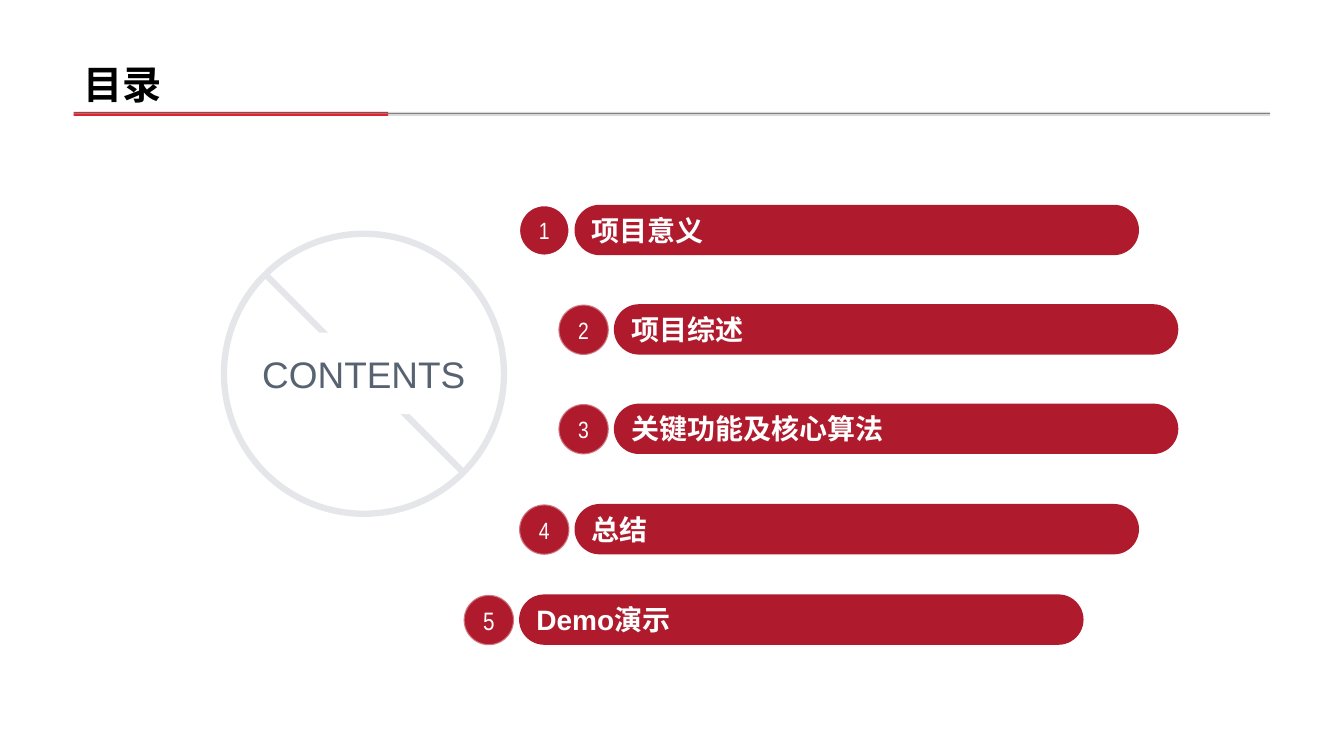
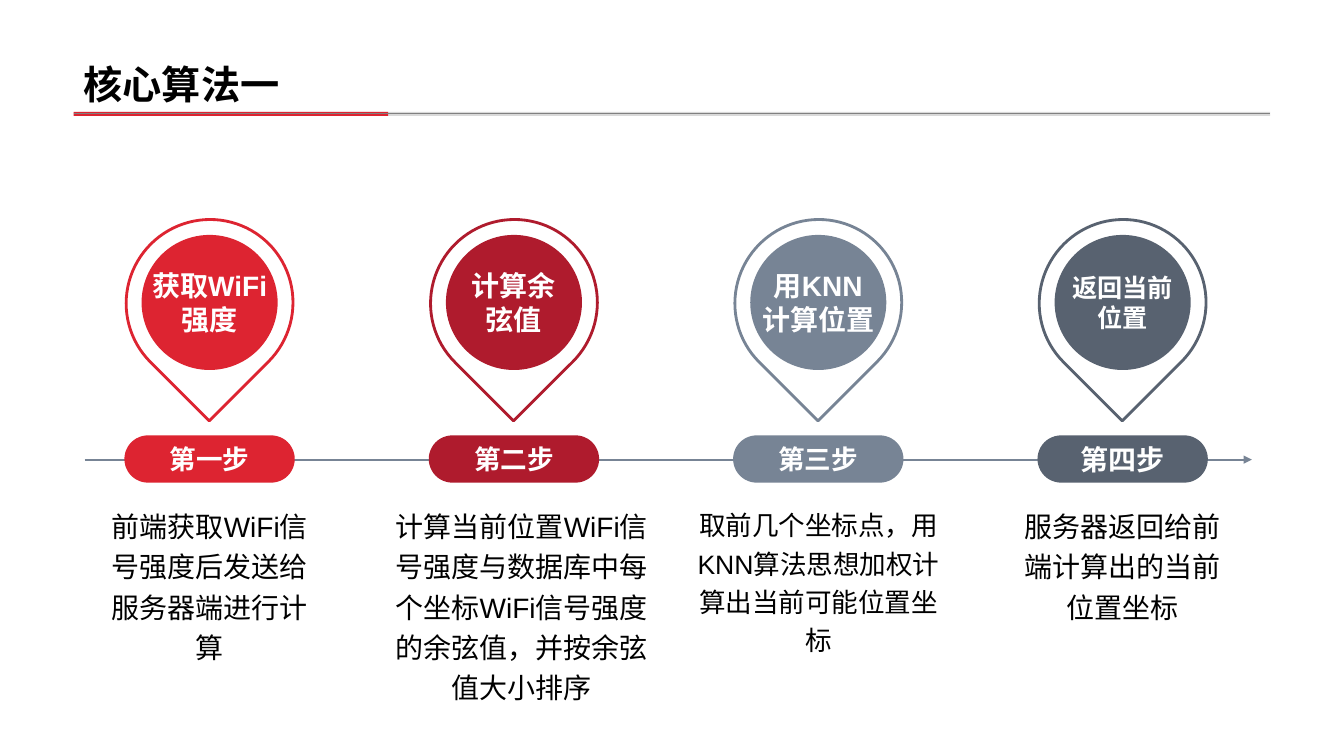
from lxml import etree
from pptx import Presentation
from pptx.dml.color import RGBColor
from pptx.enum.shapes import MSO_CONNECTOR, MSO_SHAPE
from pptx.enum.text import MSO_ANCHOR, MSO_AUTO_SIZE, PP_ALIGN
from pptx.oxml.ns import qn
from pptx.util import Pt

RECTANGLE = MSO_SHAPE.RECTANGLE
PILL = MSO_SHAPE.ROUNDED_RECTANGLE
ELLIPSE = MSO_SHAPE.OVAL
TEARDROP = MSO_SHAPE.TEAR
STRAIGHT = MSO_CONNECTOR.STRAIGHT
LEFT, CENTER = PP_ALIGN.LEFT, PP_ALIGN.CENTER
TOP, MIDDLE, BOTTOM = MSO_ANCHOR.TOP, MSO_ANCHOR.MIDDLE, MSO_ANCHOR.BOTTOM
NO_AUTOFIT = MSO_AUTO_SIZE.NONE

COLORS = {
    "black": "000000",
    "white": "FFFFFF",
    "red": "DD2431",
    "crimson": "AF1B2D",
    "steel": "778495",
    "slate": "586270",
    "caption": "586371",
    "ring": "E4E6EA",
    "band": "D9D9D9",
    "rule": "808080",
}


class Deck:
    """Hold the shared style and the slide being built."""

    def __init__(self):
        self.presentation = Presentation()
        self.presentation.slide_width = Pt(960)
        self.presentation.slide_height = Pt(540)
        self.slide = None

    def color(self, name):
        return RGBColor.from_string(COLORS[name])

    def add_slide(self, title):
        layout = self.presentation.slide_layouts[5]
        self.slide = self.presentation.slides.add_slide(layout)
        placeholder = self.slide.shapes.title
        placeholder.left, placeholder.top = Pt(52.6), Pt(0)
        placeholder.width, placeholder.height = Pt(854.6), Pt(80.6)
        placeholder.text_frame.auto_size = NO_AUTOFIT
        self.set_text(placeholder, title, 28, "black", True, LEFT, BOTTOM, spacing=0.9)
        self.shape(RECTANGLE, 56.2, 79.9, 851, 2.9, fill="band")
        self.shape(RECTANGLE, 52.6, 79.9, 224.6, 2.9, fill="red")
        self.line(52.6, 80.6, 907.2, 80.6, "rule", 0.25)

    def set_text(self, shape, text, size, color="white", bold=False, align=CENTER,
                 anchor=MIDDLE, wrap=True, spacing=None, font="Arial"):
        frame = shape.text_frame
        frame.text = text
        frame.word_wrap = wrap
        frame.vertical_anchor = anchor
        for paragraph in frame.paragraphs:
            paragraph.alignment = align
            paragraph.line_spacing = spacing
            for run in paragraph.runs:
                run.font.name = font
                run.font.size = Pt(size)
                run.font.bold = bold
                run.font.color.rgb = self.color(color)

    def shape(self, kind, left, top, width, height, fill=None, line=None, weight=1.5):
        shape = self.slide.shapes.add_shape(kind, Pt(left), Pt(top), Pt(width), Pt(height))
        shape.shadow.inherit = False
        if fill:
            shape.fill.solid()
            shape.fill.fore_color.rgb = self.color(fill)
        else:
            shape.fill.background()
        if line:
            shape.line.color.rgb = self.color(line)
            shape.line.width = Pt(weight)
        else:
            shape.line.fill.background()
        return shape

    def pill(self, left, top, width, height, fill, text, size, align=CENTER):
        shape = self.shape(PILL, left, top, width, height, fill)
        shape.adjustments[0] = 0.5
        self.set_text(shape, text, size, bold=True, align=align)

    def badge(self, left, top, number, size, opacity):
        shape = self.shape(ELLIPSE, left, top, 36, 36, "crimson", "white")
        self.set_text(shape, str(number), size, wrap=False, font="Arial Narrow")
        if opacity < 100:
            outline = shape.element.spPr.xpath("a:ln//a:srgbClr")[0]
            etree.SubElement(outline, qn("a:alpha"), val=str(opacity * 1000))

    def pin(self, center, color, text, size):
        drop = self.shape(TEARDROP, center - 59.75, 157, 119.5, 118.8, "white", color, 2)
        drop.rotation = 135
        disc = self.shape(ELLIPSE, center - 48.6, 167.8, 97.2, 96.5, color)
        self.set_text(disc, text, size, bold=True, wrap=False)

    def text(self, left, top, width, height, text, size):
        box = self.slide.shapes.add_textbox(Pt(left), Pt(top), Pt(width), Pt(height))
        self.set_text(box, text, size, "black", anchor=TOP, spacing=1.2)

    def line(self, left, top, right, bottom, color, weight, arrow=False):
        connector = self.slide.shapes.add_connector(
            STRAIGHT, Pt(left), Pt(top), Pt(right), Pt(bottom))
        connector.line.color.rgb = self.color(color)
        connector.line.width = Pt(weight)
        properties = connector.element.spPr
        if arrow:
            etree.SubElement(properties.find(qn("a:ln")), qn("a:tailEnd"), type="triangle")
        etree.SubElement(properties, qn("a:effectLst"))


def build_contents(deck):
    deck.add_slide("目录")
    deck.line(189.4, 195.8, 331.2, 337.7, "ring", 4.5)
    deck.shape(ELLIPSE, 160, 167, 200, 200, line="ring", weight=4.5)
    caption = deck.shape(RECTANGLE, 173.5, 237.6, 172.8, 58.3, "white")
    deck.set_text(caption, "CONTENTS", 26.4, "caption")
    chapters = [
        (370.8, 146.3, "项目意义", 16.8, 100),
        (398.9, 217.3, "项目综述", 16.8, 40),
        (398.9, 288.3, "关键功能及核心算法", 16.8, 40),
        (370.8, 360, "总结", 16.8, 40),
        (331.2, 424.6, "Demo演示", 18, 40),
    ]
    for number, (left, top, label, size, opacity) in enumerate(chapters, 1):
        deck.badge(left, top + 0.3, number, size, opacity)
        deck.pill(left + 39.6, top, 403.2, 36, "crimson", label, 20, LEFT)


def build_algorithm(deck):
    deck.add_slide("核心算法一")
    deck.line(60.5, 328.3, 894.2, 328.3, "steel", 1.5, arrow=True)
    steps = [
        ("red", "获取WiFi\n强度", 20, "第一步", 19, 63.4, 172.8,
         "前端获取WiFi信号强度后发送给服务器端进行计算", 20),
        ("crimson", "计算余\n弦值", 20, "第二步", 19, 270.7, 203.8,
         "计算当前位置WiFi信号强度与数据库中每个坐标WiFi信号强度的余弦值，并按余弦值大小排序", 20),
        ("steel", "用KNN\n计算位置", 20, "第三步", 19, 490.3, 188.6,
         "取前几个坐标点，用KNN算法思想加权计算出当前可能位置坐标", 19),
        ("slate", "返回当前\n位置", 18, "第四步", 20, 715.7, 172.8,
         "服务器返回给前端计算出的当前位置坐标", 20),
    ]
    for index, step in enumerate(steps):
        color, goal, goal_size, name, name_size, left, width, detail, detail_size = step
        center = 149.7 + 217.4 * index
        deck.pin(center, color, goal, goal_size)
        deck.pill(center - 60.85, 311, 121.7, 33.8, color, name, name_size)
        deck.text(left, 355.7, width, 154, detail, detail_size)


def main():
    deck = Deck()
    build_contents(deck)
    build_algorithm(deck)
    deck.presentation.save("out.pptx")


if __name__ == "__main__":
    main()
